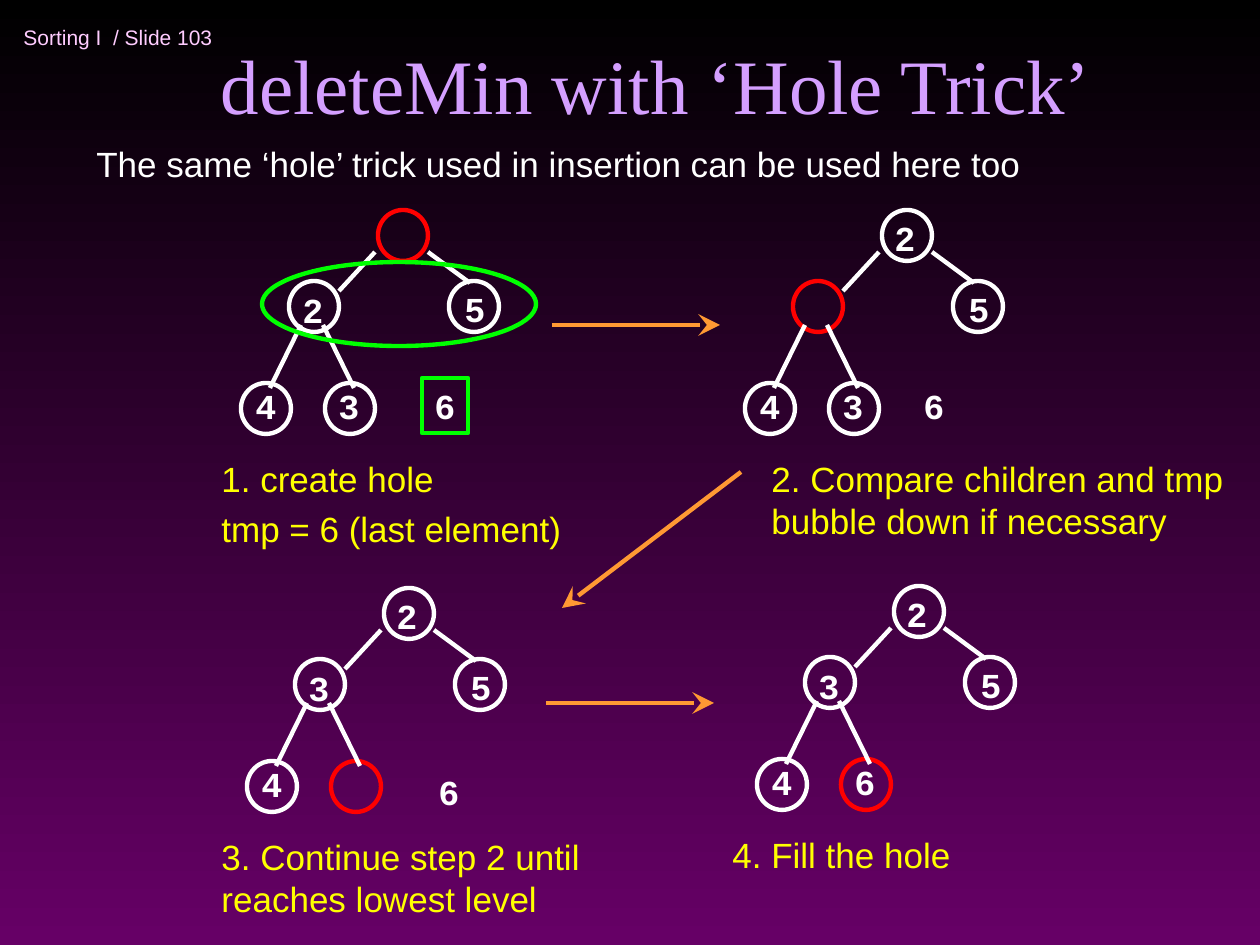
from dataclasses import dataclass
from lxml import etree
from pptx import Presentation
from pptx.dml.color import RGBColor
from pptx.enum.shapes import MSO_CONNECTOR as Connector, MSO_SHAPE as Shape
from pptx.enum.text import MSO_ANCHOR as Anchor, MSO_AUTO_SIZE as AutoSize, PP_ALIGN as Align
from pptx.oxml.ns import qn
from pptx.util import Emu, Pt

PX = 914400 / 126


def px(*lengths):
    return [Emu(round(length * PX)) for length in lengths]


@dataclass(frozen=True)
class Theme:
    top: str = "000000"
    bottom: str = "660066"
    title: str = "D49FFF"
    header: str = "FFCCFF"
    white: str = "FFFFFF"
    hole: str = "FF0000"
    mark: str = "00FF00"
    arrow: str = "FF9933"
    caption: str = "FFFF00"
    title_size: int = 44
    body_size: int = 20
    header_size: int = 12
    line: float = 2.5
    space: int = 5
    sans: str = "Arial"
    serif: str = "Times New Roman"
    mono: str = "Courier New"


# Heap nodes and edges, measured from the top left of the root circle
CIRCLE = (50, 51)
DIGIT = (45, 55)
NODES = [(0, 0), (-89, 71), (71, 71), (-137, 173), (-53, 173)]
DIGIT_SHIFTS = [(0, 0), (1, 1), (3, 0), (2, -5), (1, -5)]
EDGES = [((-3, 42), (-39, 81)), ((50, 42), (92, 73)),
         ((-77, 115), (-108, 178)), ((-55, 115), (-24, 178))]


class Painter:
    def __init__(self, slide, theme):
        self.slide, self.theme = slide, theme

    def background(self):
        fill = self.slide.background.fill
        fill.gradient()
        fill.gradient_angle = 270
        for stop, color in zip(fill.gradient_stops, (self.theme.top, self.theme.bottom)):
            stop.color.rgb = RGBColor.from_string(color)

    def stroke(self, line, color):
        line.color.rgb = RGBColor.from_string(color)
        line.width = Pt(self.theme.line)

    def outline(self, kind, x, y, width, height, color):
        shape = self.slide.shapes.add_shape(kind, *px(x, y, width, height))
        shape.shadow.inherit = False
        shape.fill.background()
        self.stroke(shape.line, color)

    def line(self, start, end, color, arrow=False):
        connector = self.slide.shapes.add_connector(Connector.STRAIGHT, *px(*start, *end))
        self.stroke(connector.line, color)
        if arrow:
            etree.SubElement(connector.line._get_or_add_ln(), qn("a:tailEnd"),
                             type="stealth", w="lg", len="lg")
        etree.SubElement(connector._element.spPr, qn("a:effectLst"))

    def text(self, box, paragraphs, color, font=None, size=None, bold=False,
             align=Align.LEFT, **frame_format):
        frame = self.slide.shapes.add_textbox(*px(*box)).text_frame
        values = {"word_wrap": True, "auto_size": AutoSize.SHAPE_TO_FIT_TEXT, **frame_format}
        for name, value in values.items():
            setattr(frame, name, value)
        font_format = {"name": font or self.theme.sans, "bold": bold,
                       "size": Pt(size or self.theme.body_size)}
        for index, words in enumerate(paragraphs):
            paragraph = frame.add_paragraph() if index else frame.paragraphs[0]
            paragraph.text = words
            paragraph.alignment = align
            if index:
                paragraph.space_before = Pt(self.theme.space)
            for name, value in font_format.items():
                setattr(paragraph.font, name, value)
            paragraph.font.color.rgb = RGBColor.from_string(color)

    def digit(self, x, y, value):
        self.text((x, y, *DIGIT), [value], self.theme.white, self.theme.mono,
                  bold=True, word_wrap=False)

    def heap(self, x, y, values, hole):
        for index, (dx, dy) in enumerate(NODES):
            color = self.theme.hole if index == hole else self.theme.white
            self.outline(Shape.OVAL, x + dx, y + dy, *CIRCLE, color)
        for start, end in EDGES:
            self.line(*[(x + dx, y + dy) for dx, dy in (start, end)], self.theme.white)
        for value, (dx, dy), (shift_x, shift_y) in zip(values, NODES, DIGIT_SHIFTS):
            if value:
                self.digit(x + dx + shift_x, y + dy + shift_y, value)


def main():
    presentation = Presentation()
    presentation.slide_width, presentation.slide_height = px(1260, 945)
    slide = presentation.slides.add_slide(presentation.slide_layouts[6])
    theme = Theme()
    painter = Painter(slide, theme)
    painter.background()

    # Header, title and introduction
    painter.text((11, 11, 347, 53), ["Sorting I  / Slide 103"], theme.header,
                 size=theme.header_size, word_wrap=False,
                 auto_size=AutoSize.NONE, vertical_anchor=Anchor.MIDDLE)
    painter.text((116, -21, 1081, 157), ["deleteMin with ‘Hole Trick’"], theme.title,
                 theme.serif, theme.title_size, align=Align.CENTER,
                 auto_size=AutoSize.NONE, vertical_anchor=Anchor.BOTTOM)
    painter.text((84, 136, 1071, 55),
                 ["The same ‘hole’ trick used in insertion can be used here too"],
                 theme.white)

    # Four heaps: root position, values by level, index of the hole
    for x, y, values, hole in [(378, 210, ["", "2", "5", "4", "3"], 0),
                               (882, 210, ["2", "", "5", "4", "3"], 1),
                               (384, 588, ["2", "3", "5", "4", ""], 4),
                               (894, 586, ["2", "3", "5", "4", "6"], 4)]:
        painter.heap(x, y, values, hole)

    # The last element, and the marks of the first step
    for x, y in [(422, 378), (911, 378), (426, 764)]:
        painter.digit(x, y, "6")
    painter.outline(Shape.RECTANGLE, 422, 378, 46, 55, theme.mark)
    painter.outline(Shape.OVAL, 262, 262, 274, 84, theme.mark)

    # Captions
    for box, paragraphs in [
            ((209, 451, 380, 106), ["1. create hole", "tmp = 6 (last element)"]),
            ((759, 451, 495, 97), ["2. Compare children and tmp\vbubble down if necessary"]),
            ((209, 829, 420, 97), ["3. Continue step 2 until\vreaches lowest level"]),
            ((720, 827, 260, 55), ["4. Fill the hole"])]:
        painter.text(box, paragraphs, theme.caption)

    # Arrows from step to step
    for start, end in [((552, 325), (720, 325)), ((741, 472), (562, 608)),
                       ((546, 703), (714, 703))]:
        painter.line(start, end, theme.arrow, arrow=True)

    presentation.save("out.pptx")


if __name__ == "__main__":
    main()
